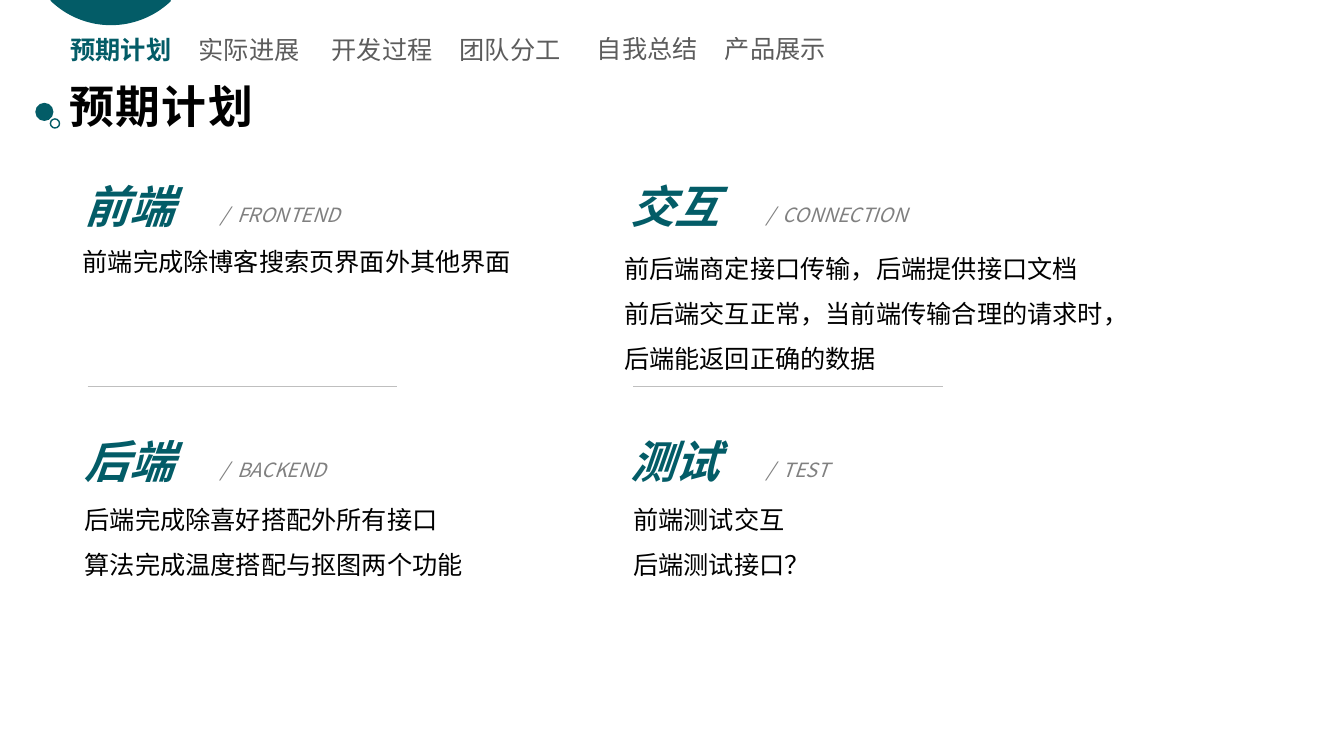
from math import cos, pi, sin

from lxml.etree import SubElement
from pptx import Presentation
from pptx.dml.color import RGBColor
from pptx.enum.shapes import MSO_CONNECTOR as Connector, MSO_SHAPE as Shape
from pptx.enum.text import MSO_ANCHOR as Anchor, MSO_AUTO_SIZE as AutoSize, PP_ALIGN as Align
from pptx.oxml.ns import qn
from pptx.util import Inches, Pt

FONT = "Noto Sans CJK SC"
COLORS = {"teal": "035C67", "black": "000000", "grey": "808080",
          "rule": "BFBFBF", "white": "FFFFFF"}

TITLE = "预期计划"
TABS = ["预期计划", "实际进展", "开发过程", "团队分工", "自我总结", "产品展示"]
PAIR_PLACES = [(0.57, 0.34), (3.16, 0.34), (5.79, 0.33)]
TAB_STEP = 1.27

# column, row, heading, caption, body lines, body place, body style
SECTIONS = [
    (0, 0, "前端", "FRONTEND", ["前端完成除博客搜索页界面外其他界面"],
     (0.58, 2.3, 5.32, 0.49), {"spacing": 1.3, "after": 6, "indent": 0.14}),
    (1, 0, "交互", "CONNECTION",
     ["前后端商定接口传输，后端提供接口文档",
      "前后端交互正常，当前端传输合理的请求时，后端能返回正确的数据"],
     (6.09, 2.31, 5.34, 1.46), {"spacing": 1.5}),
    (0, 1, "后端", "BACKEND", ["后端完成除喜好搭配外所有接口", "算法完成温度搭配与抠图两个功能"],
     (0.74, 4.8, 5.32, 1.01), {"spacing": 1.5}),
    (1, 1, "测试", "TEST", ["前端测试交互", "后端测试接口？"],
     (6.18, 4.8, 5.32, 1.01), {"spacing": 1.5}),
]
GRID_LEFT, GRID_TOP = 0.74, 1.72
COLUMN_STEP, ROW_STEP = 5.41, 2.53


def color(name):
    return RGBColor.from_string(COLORS[name])


def place(shape, left, top, width, height):
    shape.left, shape.top = Inches(left), Inches(top)
    shape.width, shape.height = Inches(width), Inches(height)


def write(shape, lines, size, ink, bold=False, italic=False, align=Align.LEFT,
          spacing=1.0, after=0, indent=0, inset=True, wrap=True,
          alpha=None, tracking=None):
    """Fill a text shape with equally formatted paragraphs."""
    frame = shape.text_frame
    frame.text = "\n".join(lines)
    frame.word_wrap = wrap
    frame.auto_size = AutoSize.NONE
    frame.vertical_anchor = Anchor.TOP
    if not inset:
        frame.margin_left = frame.margin_right = frame.margin_top = frame.margin_bottom = 0
    for para in frame.paragraphs:
        props = para._p.get_or_add_pPr()
        props.set("marL", str(Inches(indent)))
        props.set("indent", "0")
        SubElement(props, qn("a:buNone"))
        para.alignment = align
        para.line_spacing = spacing
        para.space_before, para.space_after = Pt(0), Pt(after)
        font = para.font
        font.name, font.size = FONT, Pt(size)
        font.bold, font.italic = bold, italic
        font.color.rgb = color(ink)
        run_props = props.find(qn("a:defRPr"))
        SubElement(run_props, qn("a:ea")).set("typeface", FONT)
        if tracking:
            run_props.set("spc", str(tracking * 100))
        if alpha:
            srgb = run_props.find(".//" + qn("a:srgbClr"))
            SubElement(srgb, qn("a:alpha")).set("val", str(alpha * 1000))


def add_text(page, box, lines, **style):
    write(page.shapes.add_textbox(*map(Inches, box)), lines, **style)


def paint(shape, fill, line=None):
    shape.shadow.inherit = False
    shape.fill.solid()
    shape.fill.fore_color.rgb = color(fill)
    if line:
        shape.line.color.rgb = color(line)
        shape.line.width = Pt(1)
    else:
        shape.line.fill.background()


def add_top_arc(page):
    """Draw the lower cap of a large circle cut off by the slide's top edge."""
    center, radius, depth, half_angle, steps = 1.1, 0.86, 0.25, pi / 4.1, 40
    angles = [half_angle * (1 - 2 * i / steps) for i in range(steps + 1)]
    arc = [(center + radius * sin(a), depth - radius * (1 - cos(a))) for a in angles]
    outline = [(Inches(x), Inches(y)) for x, y in [(1.69, 0), *arc, (0.5, 0)]]
    builder = page.shapes.build_freeform(*outline[0])
    builder.add_line_segments(outline[1:], close=True)
    paint(builder.convert_to_shape(), "teal")


def add_tabs(page):
    for i, label in enumerate(TABS):
        left, top = PAIR_PLACES[i // 2]
        look = {"ink": "teal", "bold": True} if label == TITLE else {"ink": "black", "alpha": 63}
        add_text(page, (left + i % 2 * TAB_STEP, top, 1.26, 0.3), [label],
                 size=18, align=Align.CENTER, inset=False, **look)


def add_title(page):
    place(page.shapes.title, 0.59, 0.73, 2.33, 0.64)
    write(page.shapes.title, [TITLE], 32, "black", bold=True, tracking=1)
    for left, top, size, fill, line in [(0.35, 1.02, 0.18, "teal", None),
                                        (0.5, 1.18, 0.09, "white", "teal")]:
        dot = page.shapes.add_shape(Shape.OVAL, *map(Inches, (left, top, size, size)))
        paint(dot, fill, line)


def add_section(page, body, section):
    column, row, heading, caption, lines, body_place, body_style = section
    left, top = GRID_LEFT + column * COLUMN_STEP, GRID_TOP + row * ROW_STEP
    add_text(page, (left, top, 1.09, 0.64), [heading],
             size=32, ink="teal", bold=True, italic=True, wrap=False)
    add_text(page, (left + 1.35, top + 0.24, 1.97 - row * 0.64, 0.34), ["/  " + caption],
             size=14, ink="grey", italic=True)
    place(body, *body_place)
    write(body, lines, 18, "black", **body_style)
    if row == 0:
        ends = left + 0.13, 3.83, left + 3.2, 3.83
        rule = page.shapes.add_connector(Connector.STRAIGHT, *map(Inches, ends))
        rule.line.color.rgb = color("rule")
        rule.line.width = Pt(0.5)
        SubElement(rule._element.spPr, qn("a:effectLst"))


def main():
    deck = Presentation()
    deck.slide_width, deck.slide_height = Inches(13.33), Inches(7.5)
    page = deck.slides.add_slide(deck.slide_layouts.get_by_name("Comparison"))
    bodies = [item for item in page.placeholders if item.placeholder_format.idx > 0]
    add_top_arc(page)
    add_tabs(page)
    add_title(page)
    for body, section in zip(bodies, SECTIONS):
        add_section(page, body, section)
    deck.save("out.pptx")


if __name__ == "__main__":
    main()
